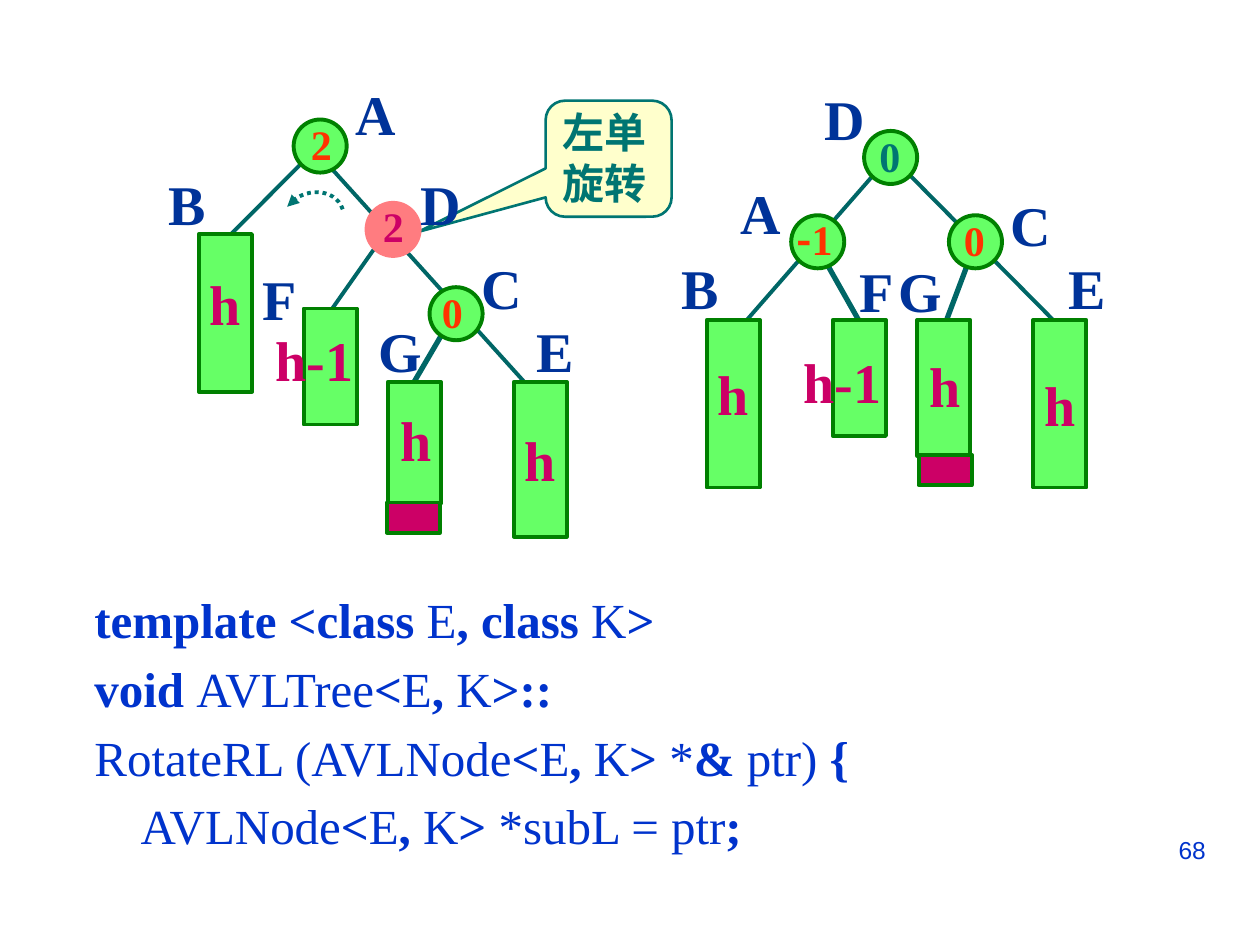
from dataclasses import dataclass
from typing import NamedTuple

from lxml.etree import SubElement
from pptx import Presentation
from pptx.dml.color import RGBColor
from pptx.enum.dml import MSO_LINE
from pptx.enum.shapes import MSO_CONNECTOR, MSO_SHAPE as Preset
from pptx.enum.text import MSO_ANCHOR as Anchor, MSO_AUTO_SIZE as AutoSize, PP_ALIGN as Align
from pptx.oxml.ns import qn
from pptx.util import Cm, Pt


@dataclass(frozen=True)
class Theme:
    green: str = "66FF66"
    outline: str = "008000"
    pink: str = "FF7C80"
    magenta: str = "CC0066"
    red: str = "FF3300"
    teal: str = "007572"
    edge: str = "006666"
    cream: str = "FFFFCC"
    label: str = "003399"
    code: str = "0033CC"
    serif: str = "Times New Roman"
    sans: str = "Arial"
    cjk: str = "Noto Sans CJK SC"
    label_size: int = 32
    code_size: int = 28
    value_size: int = 24
    number_size: int = 14


class Edge(NamedTuple):
    x1: float
    y1: float
    x2: float
    y2: float
    weight: float = 2.25


class Node(NamedTuple):
    left: float
    top: float
    balance: str
    text_left: float
    text_top: float
    color: str
    fill: str = Theme.green
    outline: str = Theme.outline


class Subtree(NamedTuple):
    left: float
    top: float
    height: float
    text: str = ""
    spacing: float = 1.0
    fill: str = Theme.green


class Label(NamedTuple):
    text: str
    left: float
    top: float
    color: str = Theme.label


class Tree(NamedTuple):
    edges: list[Edge]
    nodes: list[Node]
    subtrees: list[Subtree]
    labels: list[Label]


T = Theme()
NODE_SIZE = 1.07
TEXT_WIDTH = {"A": 1.32, "B": 1.27, "C": 1.32, "D": 1.32, "E": 1.27, "F": 1.19, "G": 1.4,
              "h": 1.14, "h-1": 2.08, "0": 0.94, "2": 0.94, "-1": 1.35}

UNBALANCED = Tree(
    edges=[Edge(9.09, 6.43, 8.23, 7.9, 3), Edge(6.12, 3.25, 4.22, 5.16),
           Edge(6.55, 3.25, 10.57, 7.7), Edge(7.59, 4.95, 6.55, 6.43)],
    nodes=[Node(5.92, 2.41, "2", 6.02, 2.26, T.red),
           Node(7.39, 4.09, "2", 7.47, 3.91, T.magenta, T.pink, T.pink),
           Node(8.66, 5.79, "0", 8.66, 5.66, T.red)],
    subtrees=[Subtree(4.01, 4.72, 3.18, "h", 0.6), Subtree(6.12, 6.22, 2.34),
              Subtree(7.82, 7.7, 2.46), Subtree(10.36, 7.7, 3.12, "h"),
              Subtree(7.8, 10.13, 0.61, fill=T.magenta)],
    labels=[Label("A", 6.91, 1.47), Label("B", 3.15, 3.3), Label("C", 9.45, 4.98),
            Label("D", 8.23, 3.3), Label("E", 10.57, 6.25), Label("F", 5.05, 5.21),
            Label("G", 7.39, 6.25), Label("h-1", 5.31, 6.43, T.magenta),
            Label("h", 7.82, 8.05, T.magenta)])

ROTATED = Tree(
    edges=[Edge(19.56, 5.18, 18.92, 6.88, 3), Edge(18.29, 3.48, 21.23, 6.45),
           Edge(17.65, 3.48, 14.68, 6.88), Edge(16.59, 5.18, 17.42, 6.65, 3)],
    nodes=[Node(17.42, 2.64, "0", 17.48, 2.51, T.teal),
           Node(15.95, 4.34, "-1", 15.8, 4.17, T.red),
           Node(19.13, 4.34, "0", 19.18, 4.19, T.red)],
    subtrees=[Subtree(14.25, 6.45, 3.38, "h", 0.6), Subtree(16.79, 6.45, 2.34),
              Subtree(18.49, 6.45, 2.74), Subtree(20.83, 6.45, 3.38, "h"),
              Subtree(18.52, 9.17, 0.61, fill=T.magenta)],
    labels=[Label("A", 14.68, 3.48), Label("B", 13.49, 4.98), Label("C", 20.12, 3.71),
            Label("D", 16.38, 1.57), Label("E", 21.29, 4.98), Label("F", 17.07, 5.05),
            Label("G", 17.86, 5.05), Label("h-1", 15.95, 6.88, T.magenta),
            Label("h", 18.49, 6.96, T.magenta)])

# Each line alternates bold and regular pieces, starting with bold
CODE = [
    ["template <class ", "E", ", class ", "K", ">"],
    ["void ", "AVLTree", "<", "E", ", ", "K", ">::"],
    ["", "RotateRL (AVLNode", "<", "E", ", ", "K", "> ", "*", "& ", "ptr)", " {"],
    ["", "    AVLNode", "<", "E", ", ", "K", "> ", "*subL = ptr", ";"],
]


def style_run(run, size: int, color: str, bold: bool = True, font: str = T.serif) -> None:
    run.font.size, run.font.bold, run.font.name = Pt(size), bold, font
    run.font.color.rgb = RGBColor.from_string(color)


def add_text(slide, text: str, left: float, top: float, width: float, height: float,
             size: int, color: str, wrap: bool = False, bold: bool = True, font: str = T.serif):
    frame = slide.shapes.add_textbox(Cm(left), Cm(top), Cm(width), Cm(height)).text_frame
    frame.text, frame.word_wrap = text, wrap
    for paragraph in frame.paragraphs:
        for run in paragraph.runs:
            style_run(run, size, color, bold, font)
    return frame


def add_outlined(slide, preset, left: float, top: float, width: float, height: float,
                 fill: str, outline: str, weight: float = 2.25):
    shape = slide.shapes.add_shape(preset, Cm(left), Cm(top), Cm(width), Cm(height))
    shape.shadow.inherit = False
    shape.fill.solid()
    shape.fill.fore_color.rgb = RGBColor.from_string(fill)
    shape.line.color.rgb = RGBColor.from_string(outline)
    shape.line.width = Pt(weight)
    return shape


def add_edge(slide, edge: Edge) -> None:
    line = slide.shapes.add_connector(MSO_CONNECTOR.STRAIGHT, Cm(edge.x1), Cm(edge.y1),
                                      Cm(edge.x2), Cm(edge.y2))
    line.line.color.rgb = RGBColor.from_string(T.edge)
    line.line.width = Pt(edge.weight)
    SubElement(line._element.spPr, qn("a:effectLst"))


def add_subtree(slide, subtree: Subtree) -> None:
    block = add_outlined(slide, Preset.RECTANGLE, subtree.left, subtree.top, NODE_SIZE,
                         subtree.height, subtree.fill, T.outline)
    if subtree.text:
        frame = block.text_frame
        frame.text, frame.word_wrap, frame.vertical_anchor = subtree.text, False, Anchor.MIDDLE
        paragraph = frame.paragraphs[0]
        paragraph.alignment, paragraph.line_spacing = Align.CENTER, subtree.spacing
        style_run(paragraph.runs[0], T.label_size, T.magenta)


def add_balance(slide, node: Node) -> None:
    frame = add_text(slide, node.balance, node.text_left, node.text_top,
                     TEXT_WIDTH[node.balance], 1.27, T.value_size, node.color)
    if node.balance.startswith("-"):
        minus, digit = frame.paragraphs[0].runs[0], frame.paragraphs[0].add_run()
        minus.text, digit.text = "-", node.balance[1:]
        style_run(minus, T.value_size, node.color, font=T.cjk)
        style_run(digit, T.value_size, node.color)


def add_tree(slide, tree: Tree) -> None:
    for edge in tree.edges:
        add_edge(slide, edge)
    for node in tree.nodes:
        add_outlined(slide, Preset.OVAL, node.left, node.top, NODE_SIZE, NODE_SIZE,
                     node.fill, node.outline)
        add_balance(slide, node)
    for subtree in tree.subtrees:
        add_subtree(slide, subtree)
    for label in tree.labels:
        add_text(slide, label.text, label.left, label.top, TEXT_WIDTH[label.text], 1.6,
                 T.label_size, label.color)


def add_callout(slide) -> None:
    bubble = add_outlined(slide, Preset.ROUNDED_RECTANGULAR_CALLOUT, 11, 2.03, 2.54, 2.34,
                          T.cream, T.teal, 1.5)
    bubble.adjustments[0], bubble.adjustments[1] = -1.51, 0.63
    frame = add_text(slide, "左单\n旋转", 11.1, 2.03, 2.54, 2.29, T.value_size, T.teal, wrap=True)
    for paragraph in frame.paragraphs:
        SubElement(paragraph.runs[0].font._element, qn("a:ea"), typeface=T.cjk)


def add_rotation_arrow(slide, steps: int = 16) -> None:
    controls = [(6.91, 4.22), (6.76, 3.78), (6.1, 3.76), (5.79, 4.17)]

    def point(t: float) -> tuple[int, int]:
        weights = ((1 - t) ** 3, 3 * t * (1 - t) ** 2, 3 * t * t * (1 - t), t ** 3)
        return tuple(Cm(sum(w * c[axis] for w, c in zip(weights, controls))) for axis in (0, 1))

    start, *rest = [point(i / steps) for i in range(steps + 1)]
    builder = slide.shapes.build_freeform(*start)
    builder.add_line_segments(rest, close=False)
    arrow = builder.convert_to_shape()
    arrow.shadow.inherit = False
    arrow.fill.background()
    arrow.line.color.rgb = RGBColor.from_string(T.teal)
    arrow.line.width, arrow.line.dash_style = Pt(2.25), MSO_LINE.ROUND_DOT
    SubElement(arrow.line._get_or_add_ln(), qn("a:tailEnd"), type="triangle")


def fill_code(body) -> None:
    body.left, body.top, body.width, body.height = Cm(1.65), Cm(11.7), Cm(22.86), Cm(6.4)
    frame = body.text_frame
    frame.auto_size = AutoSize.NONE
    for index, pieces in enumerate(CODE):
        paragraph = frame.add_paragraph() if index else frame.paragraphs[0]
        properties = paragraph._p.get_or_add_pPr()
        properties.set("marL", str(Cm(0.97)))
        properties.set("indent", str(Cm(-0.97)))
        SubElement(properties, qn("a:buNone"))
        paragraph.line_spacing, paragraph.space_before = 1.05, Pt(4 if index else 0)
        for position, piece in enumerate(pieces):
            if piece:
                run = paragraph.add_run()
                run.text = piece
                style_run(run, T.code_size, T.code, bold=position % 2 == 0)


def main() -> None:
    deck = Presentation()
    deck.slide_width, deck.slide_height = Cm(25.4), Cm(19.05)
    slide = deck.slides.add_slide(deck.slide_layouts[1])
    heading = slide.shapes.title._element
    heading.getparent().remove(heading)
    # Code, then the trees before and after the rotation
    fill_code(slide.placeholders[1])
    add_callout(slide)
    add_tree(slide, UNBALANCED)
    add_rotation_arrow(slide)
    add_tree(slide, ROTATED)
    # Slide number
    number = add_text(slide, "68", 18.21, 16.71, 6.35, 1.32, T.number_size, T.code,
                      wrap=True, bold=False, font=T.sans)
    number.paragraphs[0].alignment = Align.RIGHT
    deck.save("out.pptx")


if __name__ == "__main__":
    main()
